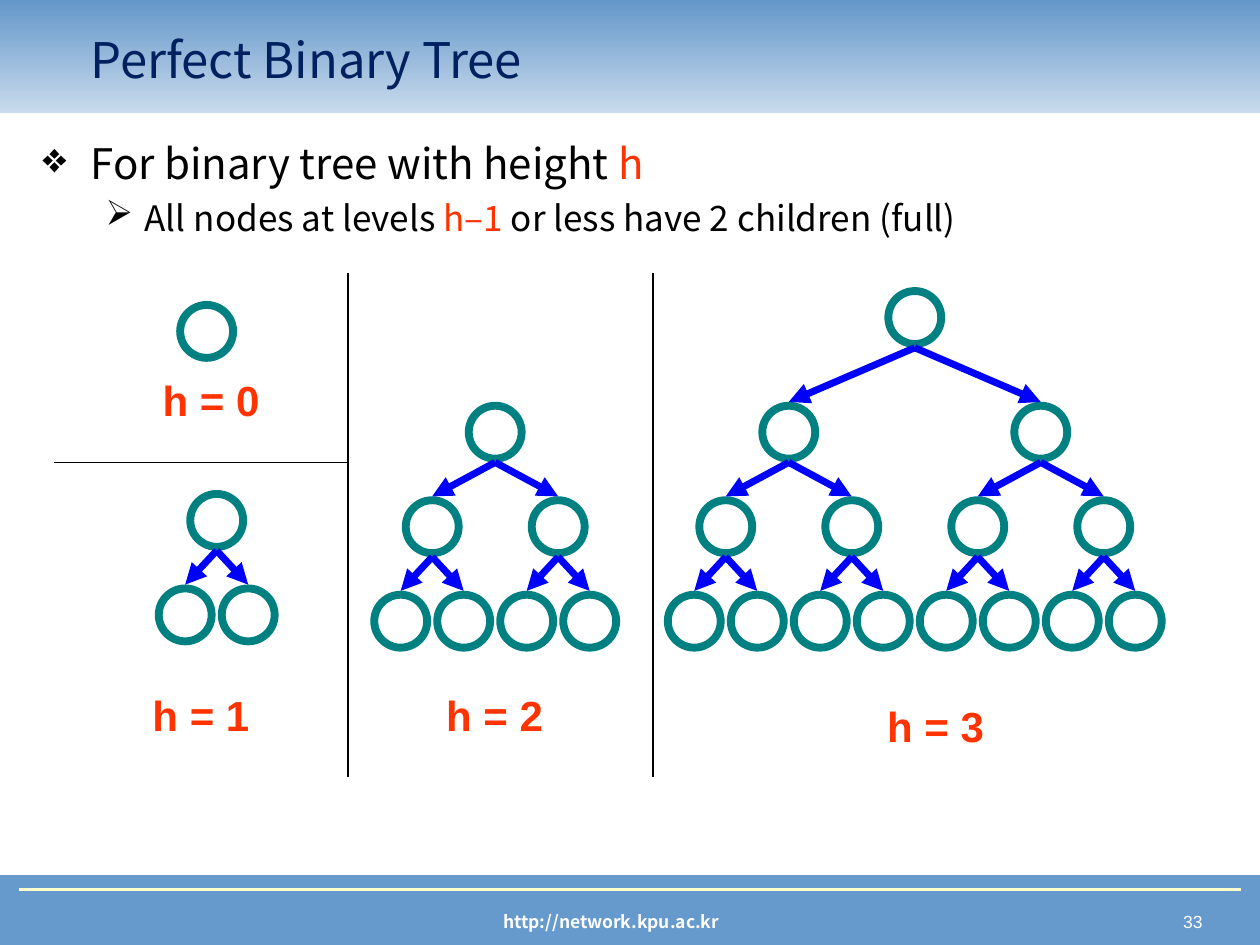
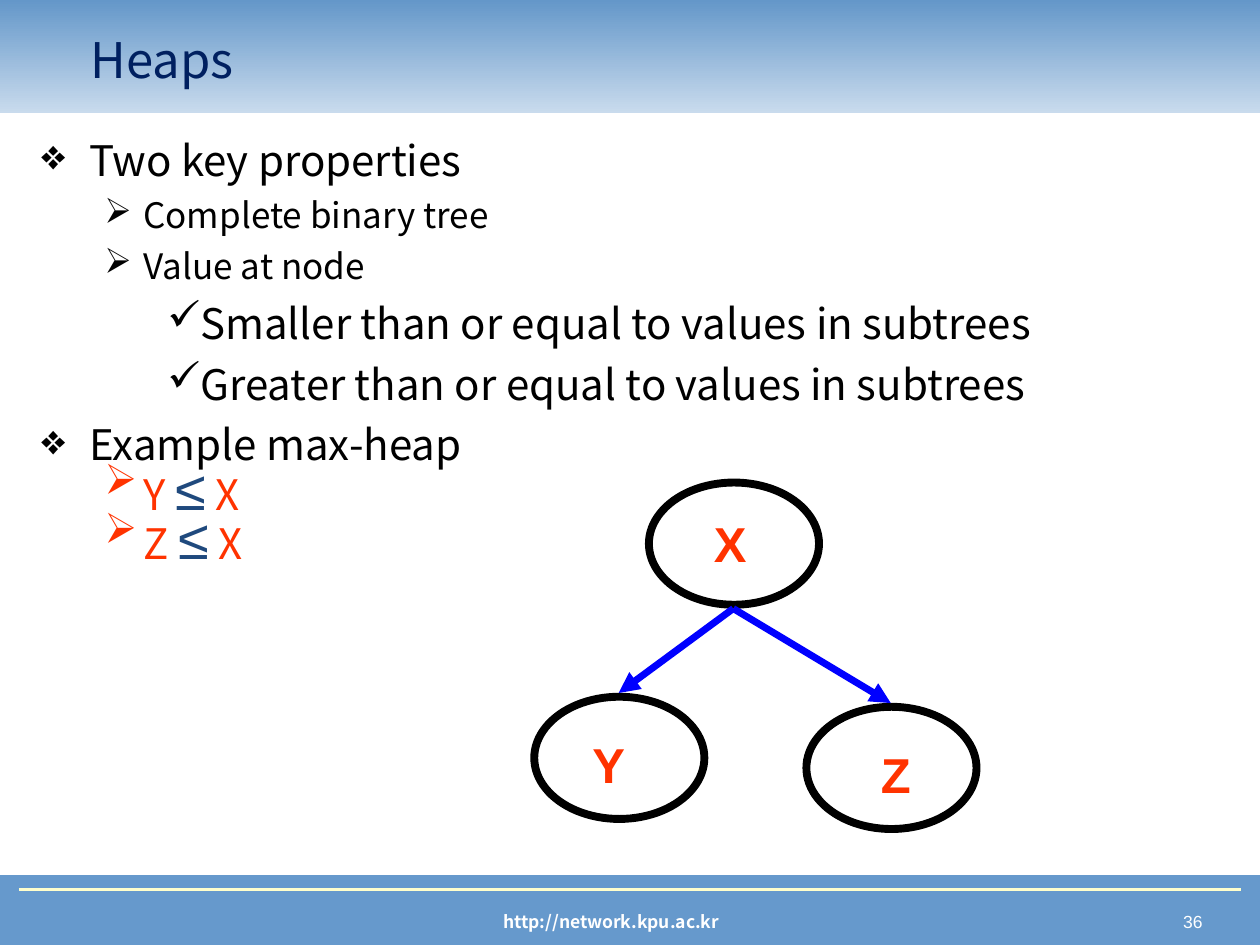
"""Build two slides on perfect binary trees and heaps."""
from typing import Any, NamedTuple

from lxml import etree
from pptx import Presentation
from pptx import util as u
from pptx.dml import color
from pptx.enum import shapes, text
from pptx.oxml import ns

SCALE = 9144
SANS, ARIAL = "Noto Sans CJK KR", "Arial"
BLUE, NAVY, RED, TEAL = "6699CC", "002060", "FF3300", "008080"
BLACK, WHITE, SLATE, ARROW = "000000", "FFFFFF", "1F497D", "0000FF"
LEFT, MID, RIGHT = text.PP_ALIGN.LEFT, text.PP_ALIGN.CENTER, text.PP_ALIGN.RIGHT
NODE, STEP = 42, 50


class Box(NamedTuple):
    left: int
    top: int
    width: int
    height: int


class Run(NamedTuple):
    words: str
    size: int = 24
    tint: str = BLACK
    face: str = SANS
    bold: bool = False


class Level(NamedTuple):
    mark: str
    left: int
    hang: int
    before: int


class Item(NamedTuple):
    level: int
    runs: list[Run]
    tint: str = BLACK
    lines: float = 1.0


class Tree(NamedTuple):
    left: int
    tops: list[int]
    label: Box


class Oval(NamedTuple):
    box: Box
    name: str
    label: Box


LEVELS = [Level("❖", 38, 38, 6), Level("➢", 81, 31, 5), Level("✓", 125, 25, 6)]
TREES = [
    Tree(143, [242], Box(59, 292, 217, 50)),
    Tree(126, [392, 467], Box(43, 542, 233, 50)),
    Tree(297, [322, 397, 472], Box(276, 542, 233, 50)),
    Tree(530, [231, 322, 397, 472], Box(626, 551, 233, 50)),
]
RULES = [(276, 217, 276, 617), (276, 367, 43, 367), (518, 217, 518, 617)]
OVALS = [
    Oval(Box(515, 383, 135, 97), "X", Box(532, 403, 95, 57)),
    Oval(Box(424, 553, 135, 97), "Y", Box(449, 578, 68, 57)),
    Oval(Box(640, 561, 135, 97), "Z", Box(657, 586, 108, 57)),
]


def px(size: int) -> int:
    """Turn px into EMU."""
    return u.Emu(round(size * SCALE))


def rgb(code: str) -> color.RGBColor:
    """Turn a hex string into a colour."""
    return color.RGBColor.from_string(code)


def put(thing: Any, form: dict[str, Any]) -> None:
    """Set each format value on the thing."""
    for key, value in form.items():
        setattr(thing, key, value)


def ink(line: Any, tint: str, width: float) -> None:
    """Colour a line and set its width in points."""
    line.color.rgb = rgb(tint)
    line.width = u.Pt(width)


def write(para: Any, runs: list[Run]) -> None:
    """Add the runs to a paragraph."""
    for item in runs:
        run = para.add_run()
        run.text = item.words
        put(run.font, {"size": u.Pt(item.size), "name": item.face, "bold": item.bold})
        run.font.color.rgb = rgb(item.tint)


def frame(slide: Any, box: Box) -> Any:
    """Add a wrapped text box and return its frame."""
    body = slide.shapes.add_textbox(*map(px, box)).text_frame
    body.word_wrap = True
    return body


def label(slide: Any, box: Box, run: Run, align: Any = MID) -> Any:
    """Add a box with one line of text."""
    body = frame(slide, box)
    body.paragraphs[0].alignment = align
    write(body.paragraphs[0], [run])
    return body


def shape(slide: Any, kind: Any, box: Box) -> Any:
    """Add a preset shape with no shadow."""
    form = slide.shapes.add_shape(kind, *map(px, box))
    form.shadow.inherit = False
    return form


def ring(slide: Any, box: Box, tint: str) -> None:
    """Draw a hollow ellipse."""
    form = shape(slide, shapes.MSO_SHAPE.OVAL, box)
    form.fill.background()
    ink(form.line, tint, 4.5)


def rule(slide: Any, ends: tuple[int, ...], tint: str, width: float, head: bool = False) -> None:
    """Draw a straight line, with an arrowhead if asked."""
    link = slide.shapes.add_connector(shapes.MSO_CONNECTOR.STRAIGHT, *map(px, ends))
    ink(link.line, tint, width)
    props = link.element.spPr
    if head:
        etree.SubElement(props.find(ns.qn("a:ln")), ns.qn("a:tailEnd"), type="triangle")
    etree.SubElement(props, ns.qn("a:effectLst"))


def arrow(slide: Any, start: Box, end: Box) -> None:
    """Point from the foot of one node to the top of the next."""
    ends = (start.left + start.width // 2, start.top + start.height + 3,
            end.left + end.width // 2, end.top - 3)
    rule(slide, ends, ARROW, 4, True)


def bullet(para: Any, item: Item, first: bool) -> None:
    """Give a paragraph its mark, indent and words."""
    level = LEVELS[item.level]
    props = para._p.get_or_add_pPr()
    put(para, {"level": item.level, "line_spacing": item.lines,
               "space_before": u.Pt(0 if first else level.before)})
    props.set("marL", str(px(level.left)))
    props.set("indent", str(px(-level.hang)))
    tint = etree.SubElement(props, ns.qn("a:buClr"))
    etree.SubElement(tint, ns.qn("a:srgbClr"), val=item.tint)
    etree.SubElement(props, ns.qn("a:buChar"), char=level.mark)
    write(para, item.runs)


def outline(slide: Any, box: Box, items: list[Item]) -> None:
    """Write the bulleted body text."""
    body = frame(slide, box)
    for at, item in enumerate(items):
        para = body.add_paragraph() if at else body.paragraphs[0]
        bullet(para, item, at == 0)


def page(deck: Any, title: str, number: int) -> Any:
    """Add a slide with its bands, title and footer."""
    slide = deck.slides.add_slide(deck.slide_layouts[6])
    foot = shape(slide, shapes.MSO_SHAPE.RECTANGLE, Box(0, 695, 1000, 55))
    foot.fill.solid()
    foot.fill.fore_color.rgb = rgb(BLUE)
    ink(foot.line, BLUE, 0.75)
    label(slide, Box(742, 718, 226, 27), Run(f" {number} ", 10, WHITE, ARIAL), RIGHT)
    label(slide, Box(227, 718, 516, 27), Run("http://network.kpu.ac.kr", 10, WHITE, bold=True))
    rule(slide, (15, 706, 985, 706), "FFFFCC", 1.5)
    band = shape(slide, shapes.MSO_SHAPE.RECTANGLE, Box(0, 0, 1000, 90))
    band.fill.gradient()
    band.fill.gradient_angle = 90
    for stop, tint in zip(band.fill.gradient_stops, ("C9DBED", "6497C9")):
        stop.color.rgb = rgb(tint)
    band.line.fill.background()
    head = label(slide, Box(62, 16, 844, 62), Run(title, 28, NAVY), LEFT)
    head.vertical_anchor = text.MSO_ANCHOR.MIDDLE
    return slide


def grow(slide: Any, tree: Tree) -> None:
    """Draw a perfect tree, each parent centred over its children."""
    height = len(tree.tops) - 1
    above: list[Box] = []
    for depth, top in enumerate(tree.tops):
        step = STEP * 2 ** (height - depth)
        start = tree.left + (step - STEP) // 2
        row = [Box(start + i * step, top, NODE, NODE) for i in range(2 ** depth)]
        for i, node in enumerate(row):
            ring(slide, node, TEAL)
            if above:
                arrow(slide, above[i // 2], node)
        above = row
    label(slide, tree.label, Run(f"h = {height}", 24, RED, ARIAL, True))


def perfect(deck: Any) -> None:
    """Build the slide of perfect trees."""
    slide = page(deck, "Perfect Binary Tree", 33)
    outline(slide, Box(24, 104, 898, 450), [
        Item(0, [Run("For binary tree with height "), Run("h", tint=RED)]),
        Item(1, [Run("All nodes at levels ", 20), Run("h–1 ", 20, RED),
                 Run("or less have 2 children (full)", 20)]),
    ])
    for tree in TREES:
        grow(slide, tree)
    for ends in RULES:
        rule(slide, ends, BLACK, 1)


def heaps(deck: Any) -> None:
    """Build the slide on heaps."""
    slide = page(deck, "Heaps", 36)
    bounds = [Item(1, [Run(f"{name} ", tint=RED), Run("≤", 32, SLATE, ARIAL),
                       Run(" X", tint=RED)], RED, 0.6) for name in "YZ"]
    outline(slide, Box(23, 102, 945, 578), [
        Item(0, [Run("Two key properties")]),
        Item(1, [Run("Complete binary tree", 20)]),
        Item(1, [Run("Value at node", 20)]),
        Item(2, [Run("Smaller than or equal to values in subtrees")]),
        Item(2, [Run("Greater than or equal to values in subtrees")]),
        Item(0, [Run("Example max-heap")]),
        *bounds,
    ])
    root, *leaves = OVALS
    for oval in OVALS:
        ring(slide, oval.box, BLACK)
        label(slide, oval.label, Run(oval.name, 28, RED, ARIAL, True))
    for leaf in leaves:
        arrow(slide, root.box, leaf.box)


def main() -> None:
    """Build and save the deck."""
    deck = Presentation()
    put(deck, {"slide_width": px(1000), "slide_height": px(750)})
    perfect(deck)
    heaps(deck)
    deck.save("out.pptx")


if __name__ == "__main__":
    main()
